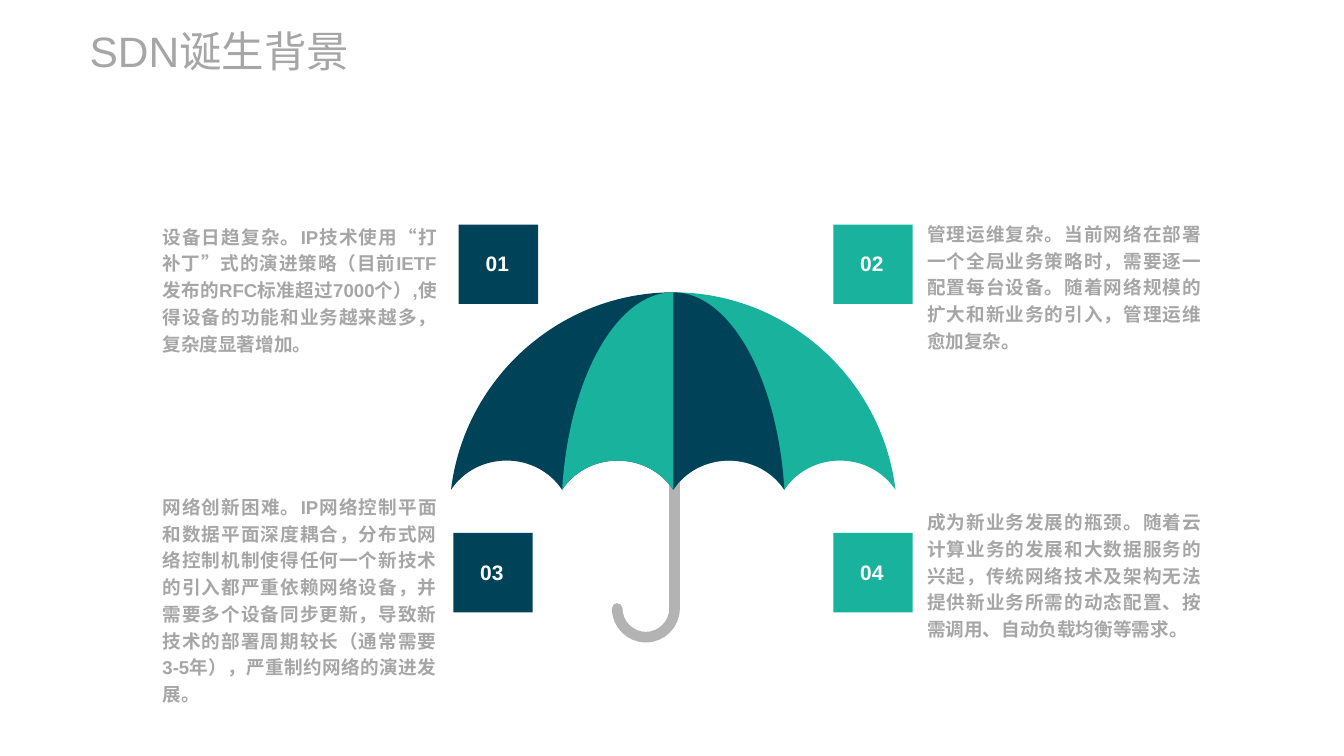
from lxml import etree
from pptx import Presentation
from pptx.dml.color import RGBColor
from pptx.enum.lang import MSO_LANGUAGE_ID
from pptx.enum.shapes import MSO_SHAPE
from pptx.enum.text import MSO_ANCHOR, PP_ALIGN
from pptx.oxml.ns import qn
from pptx.util import Pt

RECTANGLE = MSO_SHAPE.RECTANGLE
TOP, MIDDLE = MSO_ANCHOR.TOP, MSO_ANCHOR.MIDDLE
LEFT, CENTER, JUSTIFY = PP_ALIGN.LEFT, PP_ALIGN.CENTER, PP_ALIGN.JUSTIFY
CHINESE = MSO_LANGUAGE_ID.SIMPLIFIED_CHINESE

COLORS = {
    "navy": "004358",
    "teal": "18B29D",
    "handle": "B3B3B3",
    "text": "A6A6A6",
    "white": "FFFFFF",
}
COLORS = {name: RGBColor.from_string(value) for name, value in COLORS.items()}

prs = Presentation()
prs.slide_width, prs.slide_height = Pt(1012.5), Pt(569.5)
slide = prs.slides.add_slide(prs.slide_layouts[6])
shapes = slide.shapes


def draw_outline(start, segments, close):
    """Draw lines (segments of one point) and Bezier curves (of three)."""
    builder = shapes.build_freeform(Pt(start[0]), Pt(start[1]))
    points = [(Pt(x), Pt(y)) for segment in segments for x, y in segment]
    builder.add_line_segments(points, close=close)
    outline = builder.convert_to_shape()
    outline.shadow.inherit = False
    lines = iter(list(outline._element.iter(qn("a:lnTo"))))
    for segment in segments:
        corners = [next(lines) for _ in segment]
        if len(corners) == 3:
            bezier = etree.Element(qn("a:cubicBezTo"))
            corners[0].addprevious(bezier)
            for corner in corners:
                bezier.append(corner[0])
                corner.getparent().remove(corner)
    return outline


def write(box, words, size, color, bold, align, anchor, inset, spacing):
    frame = box.text_frame
    frame.word_wrap = True
    frame.vertical_anchor = anchor
    frame.margin_left = frame.margin_right = 0
    frame.margin_top = frame.margin_bottom = Pt(inset)
    paragraph = frame.paragraphs[0]
    paragraph.alignment = align
    paragraph.line_spacing = spacing
    run = paragraph.add_run()
    run.text = words
    font_values = {"name": "Arial", "size": Pt(size), "bold": bold,
                   "language_id": CHINESE}
    for attribute, value in font_values.items():
        setattr(run.font, attribute, value)
    run.font.color.rgb = COLORS[color]


# Umbrella handle: a straight shaft ending in a half-round hook
SHAFT_X, SHAFT_TOP, HOOK_Y, RADIUS = 508.2, 287.3, 458.4, 21.6
BEND = 0.55 * RADIUS
hook_x, hook_bottom, tip_x = SHAFT_X - RADIUS, HOOK_Y + RADIUS, SHAFT_X - 2 * RADIUS
handle = draw_outline((tip_x, HOOK_Y), [
    [(tip_x, HOOK_Y + BEND), (hook_x - BEND, hook_bottom), (hook_x, hook_bottom)],
    [(hook_x + BEND, hook_bottom), (SHAFT_X, HOOK_Y + BEND), (SHAFT_X, HOOK_Y)],
    [(SHAFT_X, SHAFT_TOP)],
], close=False)
handle.fill.background()
handle.line.color.rgb = COLORS["handle"]
handle.line.width = Pt(8)
handle.line._get_or_add_ln().set("cap", "rnd")

# Canopy: ribs are numbered -2 to 2 from left to right
CENTER_X, CANOPY_TOP, CANOPY_BOTTOM, RIB_GAP = 507.2, 220.2, 369, 83.7
SCALLOP_TOP = 347
APEX = (CENTER_X, CANOPY_TOP)
PANELS = [(0, 2, "teal"), (-2, 0, "navy"), (-1, 0, "teal"), (0, 1, "navy")]

for first, last, color in PANELS:
    down, up = (
        [(CENTER_X + rib * RIB_GAP * 0.51, CANOPY_TOP),
         (CENTER_X + rib * RIB_GAP * 0.94, 285),
         (CENTER_X + rib * RIB_GAP, CANOPY_BOTTOM)]
        for rib in (first, last)
    )
    segments = [down if first else down[2:]]
    for rib in range(first, last):
        x = CENTER_X + rib * RIB_GAP
        middle, end = x + RIB_GAP / 2, x + RIB_GAP
        segments += [
            [(x + 9, CANOPY_BOTTOM - 13.6), (x + 24.5, SCALLOP_TOP),
             (middle, SCALLOP_TOP)],
            [(end - 24.5, SCALLOP_TOP), (end - 9, CANOPY_BOTTOM - 13.6),
             (end, CANOPY_BOTTOM)],
        ]
    segments.append([up[1], up[0], APEX] if last else [APEX])
    panel = draw_outline(APEX, segments, close=True)
    panel.fill.solid()
    panel.fill.fore_color.rgb = COLORS[color]
    panel.line.fill.background()

title = shapes.add_textbox(Pt(67.5), Pt(18.9), Pt(311), Pt(38.8))
write(title, "SDN诞生背景", 32, "text", False, LEFT, MIDDLE, 0, 1.0)

# Number, badge left and top, badge color, text left and top, text
REASONS = [
    ("01", 345.6, 169.2, "navy", 122.4, 158.7,
     "设备日趋复杂。IP技术使用“打补丁”式的演进策略（目前IETF发布的RFC标准超过7000个）,"
     "使得设备的功能和业务越来越多，复杂度显著增加。"),
    ("02", 627.8, 169.2, "teal", 698.4, 156.5,
     "管理运维复杂。当前网络在部署一个全局业务策略时，需要逐一配置每台设备。"
     "随着网络规模的扩大和新业务的引入，管理运维愈加复杂。"),
    ("03", 341.5, 401.5, "navy", 122.4, 362.2,
     "网络创新困难。IP网络控制平面和数据平面深度耦合，分布式网络控制机制使得任何一个"
     "新技术的引入都严重依赖网络设备，并需要多个设备同步更新，导致新技术的部署周期较长"
     "（通常需要3-5年），严重制约网络的演进发展。"),
    ("04", 627.8, 401.5, "teal", 698.4, 373.7,
     "成为新业务发展的瓶颈。随着云计算业务的发展和大数据服务的兴起，传统网络技术及架构"
     "无法提供新业务所需的动态配置、按需调用、自动负载均衡等需求。"),
]
BADGE_SIZE = 59.8

for number, badge_x, badge_y, color, text_x, text_y, explanation in REASONS:
    badge = shapes.add_shape(RECTANGLE, Pt(badge_x), Pt(badge_y),
                             Pt(BADGE_SIZE), Pt(BADGE_SIZE))
    badge.shadow.inherit = False
    badge.fill.solid()
    badge.fill.fore_color.rgb = COLORS[color]
    badge.line.fill.background()

    label = shapes.add_textbox(Pt(badge_x + 5), Pt(badge_y + 7.6), Pt(48.2), Pt(39.6))
    write(label, number, 15.8, "white", True, CENTER, MIDDLE, 7.9, 1.2)

    reason = shapes.add_textbox(Pt(text_x), Pt(text_y), Pt(206.6), Pt(116.6))
    write(reason, explanation, 14, "text", True, JUSTIFY, TOP, 7.9, 1.2)

prs.save("out.pptx")
